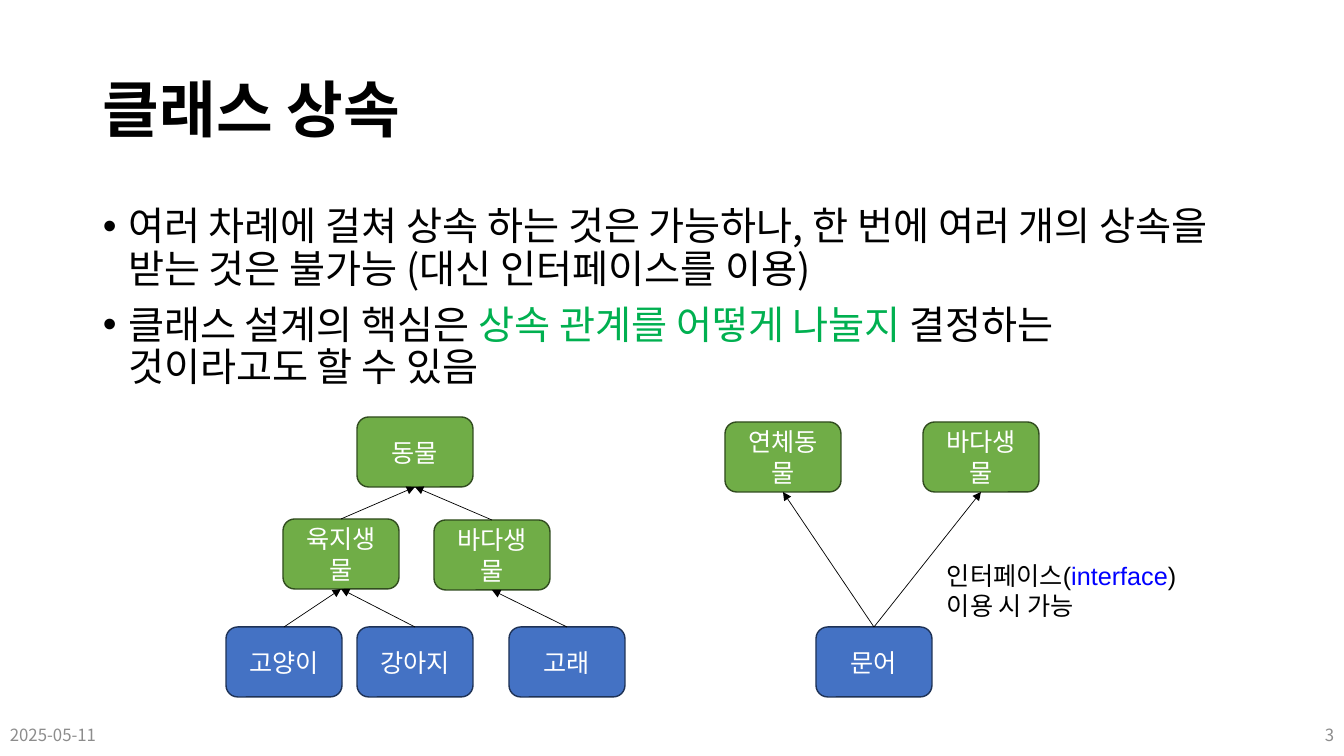
from lxml import etree
from pptx import Presentation, util as u
from pptx.dml.color import RGBColor
from pptx.enum import shapes as sh, text as t
from pptx.oxml.ns import qn

PX = 914400 / 100.8
WIDE, HIGH = 1344, 756
NODE_W, NODE_H = 116, 70
SANS, KOREAN = "Arial", "Noto Sans CJK KR"
COLORS = {
    "black": "000000", "white": "FFFFFF", "gray": "8C8C8C",
    "mark": "00B050", "code": "0000FF",
    "green": "70AD47", "moss": "314C1F", "blue": "4472C4", "navy": "1E3256",
}


def px(*sizes):
    return [u.Emu(round(size * PX)) for size in sizes]


def rgb(name):
    return RGBColor.from_string(COLORS[name])


def style(para, size, color, face=KOREAN, bold=False):
    font = para.font
    font.size, font.bold, font.name = u.Pt(size), bold, face
    font.color.rgb = rgb(color)
    latin = para._p.pPr.find(qn("a:defRPr")).find(qn("a:latin"))
    asian = etree.Element(qn("a:ea"), typeface=KOREAN)
    latin.addnext(asian)


def fill(para, parts):
    """Add (words, color) runs; a color of None keeps the paragraph's."""
    for words, color in parts:
        run = para.add_run()
        run.text = words
        if color:
            run.font.color.rgb = rgb(color)


def bullet(para):
    props = para._p.get_or_add_pPr()
    props.set("marL", str(u.Inches(0.25)))
    props.set("indent", str(-u.Inches(0.25)))
    etree.SubElement(props, qn("a:buFont"), typeface="Arial")
    etree.SubElement(props, qn("a:buChar"), char="•")


def label(slide, box, paras, size, color="black", face=KOREAN, bold=False,
          anchor=t.MSO_ANCHOR.MIDDLE, align=t.PP_ALIGN.LEFT,
          dots=False, gap=0, lines=1.0, wrap=True):
    frame = slide.shapes.add_textbox(*px(*box)).text_frame
    frame.word_wrap = wrap
    frame.vertical_anchor = anchor
    for i, parts in enumerate(paras):
        para = frame.add_paragraph() if i else frame.paragraphs[0]
        if dots:
            bullet(para)
        para.alignment, para.line_spacing = align, lines
        if i:
            para.space_before = u.Pt(gap)
        fill(para, parts)
        style(para, size, color, face, bold)


def node(slide, x, y, name, tone, edge):
    shape = slide.shapes.add_shape(
        sh.MSO_SHAPE.ROUNDED_RECTANGLE, *px(x, y, NODE_W, NODE_H))
    shape.shadow.inherit = False
    shape.fill.solid()
    shape.fill.fore_color.rgb = rgb(tone)
    shape.line.color.rgb = rgb(edge)
    shape.line.width = u.Pt(1)
    frame = shape.text_frame
    frame.word_wrap = True
    frame.vertical_anchor = t.MSO_ANCHOR.MIDDLE
    para = frame.paragraphs[0]
    para.text = name
    para.alignment = t.PP_ALIGN.CENTER
    style(para, 18, "white", SANS)
    return shape


def arrow(slide, child, parent):
    line = slide.shapes.add_connector(sh.MSO_CONNECTOR.STRAIGHT, 0, 0, 0, 0)
    line.begin_connect(child, 0)
    line.end_connect(parent, 2)
    line.line.color.rgb = rgb("black")
    line.line.width = u.Pt(0.5)
    etree.SubElement(line.line._get_or_add_ln(), qn("a:tailEnd"),
                     type="triangle")
    etree.SubElement(line._element.spPr, qn("a:effectLst"))


def tree(slide, box, parents, leaves, links):
    """Draw green parents and a bottom row of blue leaves, then the links."""
    x, y, _, high = box
    nodes = {}
    for key, (dx, dy, name) in parents.items():
        nodes[key] = node(slide, x + dx, y + dy, name, "green", "moss")
    for key, (dx, name) in leaves.items():
        nodes[key] = node(slide, x + dx, y + high - NODE_H, name,
                          "blue", "navy")
    for child, parent in links:
        arrow(slide, nodes[child], nodes[parent])


def head(slide, box):
    label(slide, box, [[("클래스 상속", None)]], 44, bold=True, lines=0.9)


def body(slide, box):
    points = [
        [("여러 차례에 걸쳐 상속 하는 것은 가능하나, 한 번에 여러 개의 "
          "상속을 받는 것은 불가능 (대신 인터페이스를 이용)", None)],
        [("클래스 설계의 핵심은 ", None),
         ("상속 관계를 어떻게 나눌지 ", "mark"),
         ("결정하는 것이라고도 할 수 있음", None)],
    ]
    label(slide, box, points, 28, anchor=t.MSO_ANCHOR.TOP,
          dots=True, gap=10, lines=0.9)


def single(slide, box):
    tree(slide, box,
         {"animal": (131, 0, "동물"), "land": (57, 102, "육지생물"),
          "sea": (208, 103, "바다생물")},
         {"cat": (0, "고양이"), "dog": (131, "강아지"),
          "whale": (283, "고래")},
         [("sea", "animal"), ("land", "animal"), ("cat", "land"),
          ("dog", "land"), ("whale", "sea")])


def multi(slide, box):
    x, y, _, _ = box
    tree(slide, box,
         {"soft": (0, 0, "연체동물"), "sea": (198, 0, "바다생물")},
         {"squid": (91, "문어")},
         [("squid", "soft"), ("squid", "sea")])
    note = [[("인터페이스(", None), ("interface", "code"), (")", None)],
            [("이용 시 가능", None)]]
    label(slide, (x + 212, y + 133, 256, 72), note, 18, face=SANS,
          anchor=t.MSO_ANCHOR.TOP, wrap=False)


def foot(slide, box):
    x, y, wide, high = box
    part = 302
    label(slide, (x, y, part, high), [[("2025-05-11", None)]], 12, "gray")
    label(slide, (x + wide - part, y, part, high), [[("3", None)]], 12,
          "gray", align=t.PP_ALIGN.RIGHT)


def main():
    deck = Presentation()
    deck.slide_width, deck.slide_height = px(WIDE, HIGH)
    slide = deck.slides.add_slide(deck.slide_layouts[6])
    head(slide, (93, 40, 1159, 146))
    body(slide, (93, 202, 1159, 480))
    foot(slide, (0, 715, WIDE, 40))
    single(slide, (226, 417, 399, 280))
    multi(slide, (725, 422, 314, 275))
    deck.save("out.pptx")


if __name__ == "__main__":
    main()
